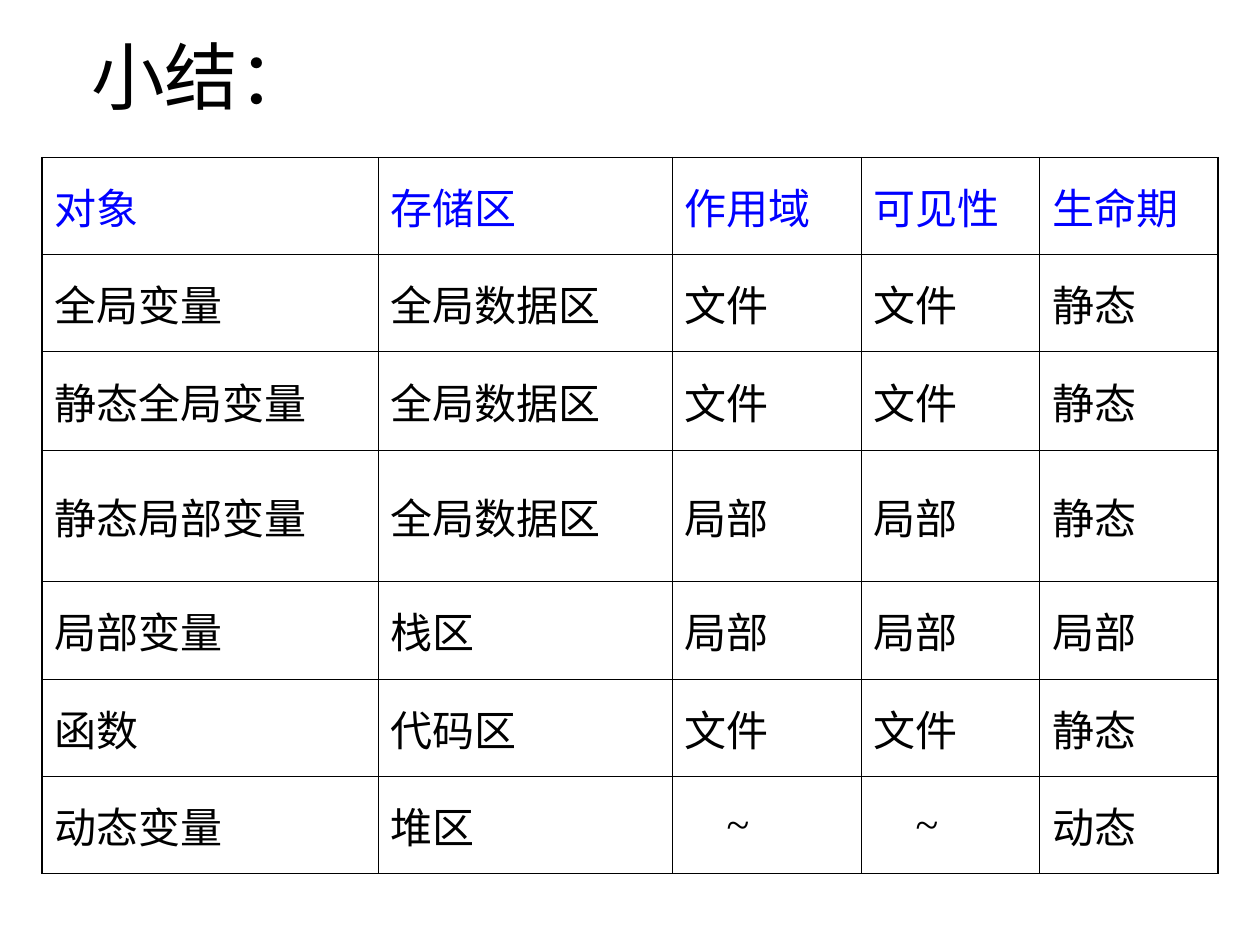
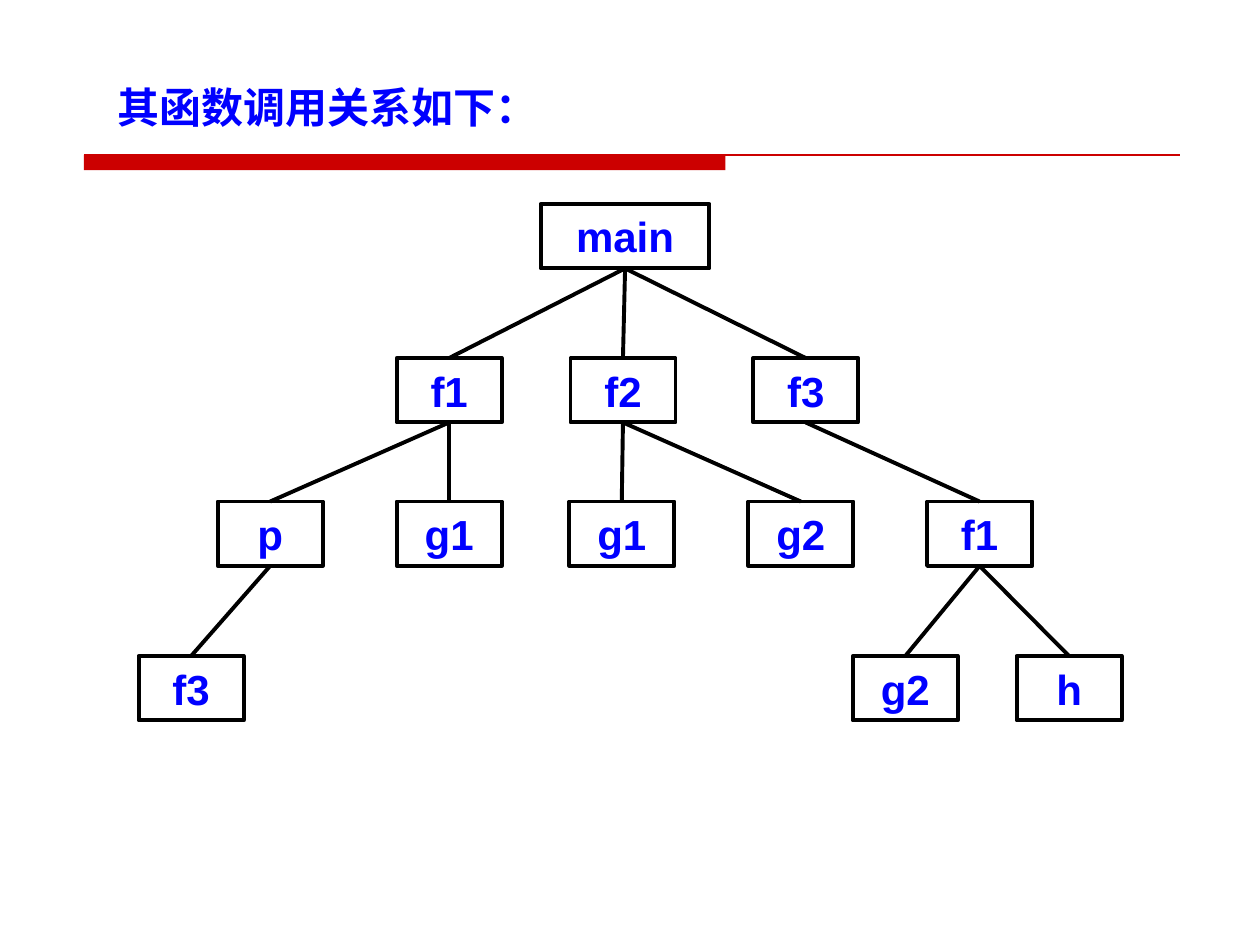
"""Build two slides: a storage-class summary table and a function call tree."""
from dataclasses import dataclass

import pptx
import pptx.dml.color
import pptx.enum.shapes
import pptx.enum.text
import pptx.oxml
import pptx.oxml.ns
import pptx.util

Pt = pptx.util.Pt
RGB = pptx.dml.color.RGBColor
ANCHOR = pptx.enum.text.MSO_ANCHOR
ALIGN = pptx.enum.text.PP_ALIGN


@dataclass(frozen=True)
class Theme:
    """Colours, fonts, type sizes and line widths of the deck."""
    ink: RGB = RGB(0, 0, 0)
    accent: RGB = RGB(0, 0, 255)
    band: RGB = RGB(204, 0, 0)
    serif: str = "Times New Roman"
    sans: str = "Arial"
    headline_size: float = 42
    body_size: float = 24
    hairline: float = 0.45
    thin: float = 0.75
    thick: float = 2.25


THEME = Theme()

STORAGE_ROWS = [
    ("对象", "存储区", "作用域", "可见性", "生命期"),
    ("全局变量", "全局数据区", "文件", "文件", "静态"),
    ("静态全局变量", "全局数据区", "文件", "文件", "静态"),
    ("静态局部变量", "全局数据区", "局部", "局部", "静态"),
    ("局部变量", "栈区", "局部", "局部", "局部"),
    ("函数", "代码区", "文件", "文件", "静态"),
    ("动态变量", "堆区", "~", "~", "动态"),
]
COLUMN_WIDTHS = (192, 168, 108, 102, 102)
ROW_HEIGHTS = (55.5, 55.5, 56.5, 75, 56, 55.5, 55.5)

CALL_TREE = ("main", 278, [
    ("f1", 177.5, [("p", 75.2, [("f3", 30, [])]), ("g1", 177.5, [])]),
    ("f2", 276.8, [("g1", 276.1, []), ("g2", 378.4, [])]),
    ("f3", 381.2, [("f1", 480.6, [("g2", 438.1, []), ("h", 531.7, [])])]),
])
LEVEL_TOPS = (0, 88, 170, 258.3)
NODE_WIDTH, MAIN_WIDTH, NODE_HEIGHT = 60, 96.5, 36.8


def write(frame, text, size, color, font, bold=False):
    """Write one styled run into the first paragraph and return the paragraph."""
    paragraph = frame.paragraphs[0]
    run = paragraph.add_run()
    run.text = text
    run.font.size = Pt(size)
    run.font.name = font
    run.font.bold = bold
    run.font.color.rgb = color
    return paragraph


def add_title(slide, box, text, size, color, anchor, bold=False):
    """Add a slide title in the given box."""
    frame = slide.shapes.add_textbox(*map(Pt, box)).text_frame
    frame.word_wrap = True
    frame.vertical_anchor = anchor
    write(frame, text, size, color, THEME.serif, bold)


def add_line(slide, start, end, color, width):
    """Add a straight line without shadow between two points."""
    line = slide.shapes.add_connector(
        pptx.enum.shapes.MSO_CONNECTOR.STRAIGHT, *map(Pt, (*start, *end)))
    line.line.color.rgb = color
    line.line.width = Pt(width)
    properties = line._element.spPr
    properties.append(properties.makeelement(pptx.oxml.ns.qn("a:effectLst"), {}))
    return line


def add_rectangle(slide, box):
    """Add a rectangle without shadow."""
    rectangle = slide.shapes.add_shape(
        pptx.enum.shapes.MSO_SHAPE.RECTANGLE, *map(Pt, box))
    rectangle.shadow.inherit = False
    return rectangle


def add_title_rule(slide, box):
    """Add the red rule: a thick bar at the left and a thin line all along."""
    left, top, width, height = box
    bar = add_rectangle(slide, (left, top, width * 0.585, height))
    bar.fill.solid()
    bar.fill.fore_color.rgb = THEME.band
    bar.line.fill.background()
    add_line(slide, (left, top), (left + width, top), THEME.band, THEME.thin)


def set_borders(cell, widths):
    """Draw the left, right, top and bottom borders of a cell."""
    properties = cell._tc.get_or_add_tcPr()
    for index, (side, width) in enumerate(zip("LRTB", widths)):
        border = pptx.oxml.parse_xml(
            f'<a:ln{side} {pptx.oxml.ns.nsdecls("a")} w="{Pt(width)}"><a:solidFill>'
            f'<a:srgbClr val="{THEME.ink}"/></a:solidFill></a:ln{side}>')
        properties.insert(index, border)


def add_storage_table(slide, left, top):
    """Add the storage table with a heavier outer frame."""
    last_row, last_column = len(ROW_HEIGHTS) - 1, len(COLUMN_WIDTHS) - 1
    table = slide.shapes.add_table(
        len(ROW_HEIGHTS), len(COLUMN_WIDTHS), Pt(left), Pt(top),
        Pt(sum(COLUMN_WIDTHS)), Pt(sum(ROW_HEIGHTS))).table
    table.first_row = table.horz_banding = False
    for column, width in zip(table.columns, COLUMN_WIDTHS):
        column.width = Pt(width)
    for r, (height, texts) in enumerate(zip(ROW_HEIGHTS, STORAGE_ROWS)):
        table.rows[r].height = Pt(height)
        for c, text in enumerate(texts):
            cell = table.cell(r, c)
            cell.fill.background()
            cell.vertical_anchor = ANCHOR.MIDDLE
            cell.margin_left = Pt(31.2 if text == "~" else 7.2)
            write(cell.text_frame, text, THEME.body_size,
                  THEME.ink if r else THEME.accent, THEME.serif)
            outer = (c == 0, c == last_column, r == 0, r == last_row)
            set_borders(cell, [THEME.thin if edge else THEME.hairline for edge in outer])


def add_call_node(slide, left, top, node, level=0):
    """Add a function box with the calls below it and return the box."""
    label, center, calls = node
    width = NODE_WIDTH if level else MAIN_WIDTH
    caller = add_rectangle(slide, (left + center - width / 2,
                                   top + LEVEL_TOPS[level], width, NODE_HEIGHT))
    caller.fill.background()
    caller.line.color.rgb = THEME.ink
    caller.line.width = Pt(THEME.thick)
    frame = caller.text_frame
    frame.word_wrap = False
    frame.vertical_anchor = ANCHOR.MIDDLE
    write(frame, label, THEME.body_size, THEME.accent, THEME.sans, True).alignment = ALIGN.CENTER
    for call in calls:
        callee = add_call_node(slide, left, top, call, level + 1)
        link = add_line(slide, (0, 0), (0, 0), THEME.ink, THEME.thick)
        link.begin_connect(caller, 2)
        link.end_connect(callee, 0)
    return caller


def build_summary(slide):
    """Build the summary slide."""
    add_title(slide, (45, 24, 630, 47.5), "小结：", THEME.headline_size,
              THEME.ink, ANCHOR.BOTTOM)
    add_storage_table(slide, 24, 90)


def build_call_tree(slide):
    """Build the call tree slide."""
    add_title_rule(slide, (48, 88.5, 626.5, 8.7))
    add_call_node(slide, 79.2, 116.6, CALL_TREE)
    add_title(slide, (60, 43.2, 564.5, 36), "其函数调用关系如下：", THEME.body_size,
              THEME.accent, ANCHOR.TOP, True)


def main():
    """Build and save the deck."""
    deck = pptx.Presentation()
    deck.slide_width, deck.slide_height = Pt(720), Pt(540)
    for build in (build_summary, build_call_tree):
        build(deck.slides.add_slide(deck.slide_layouts[6]))
    deck.save("out.pptx")


if __name__ == "__main__":
    main()
